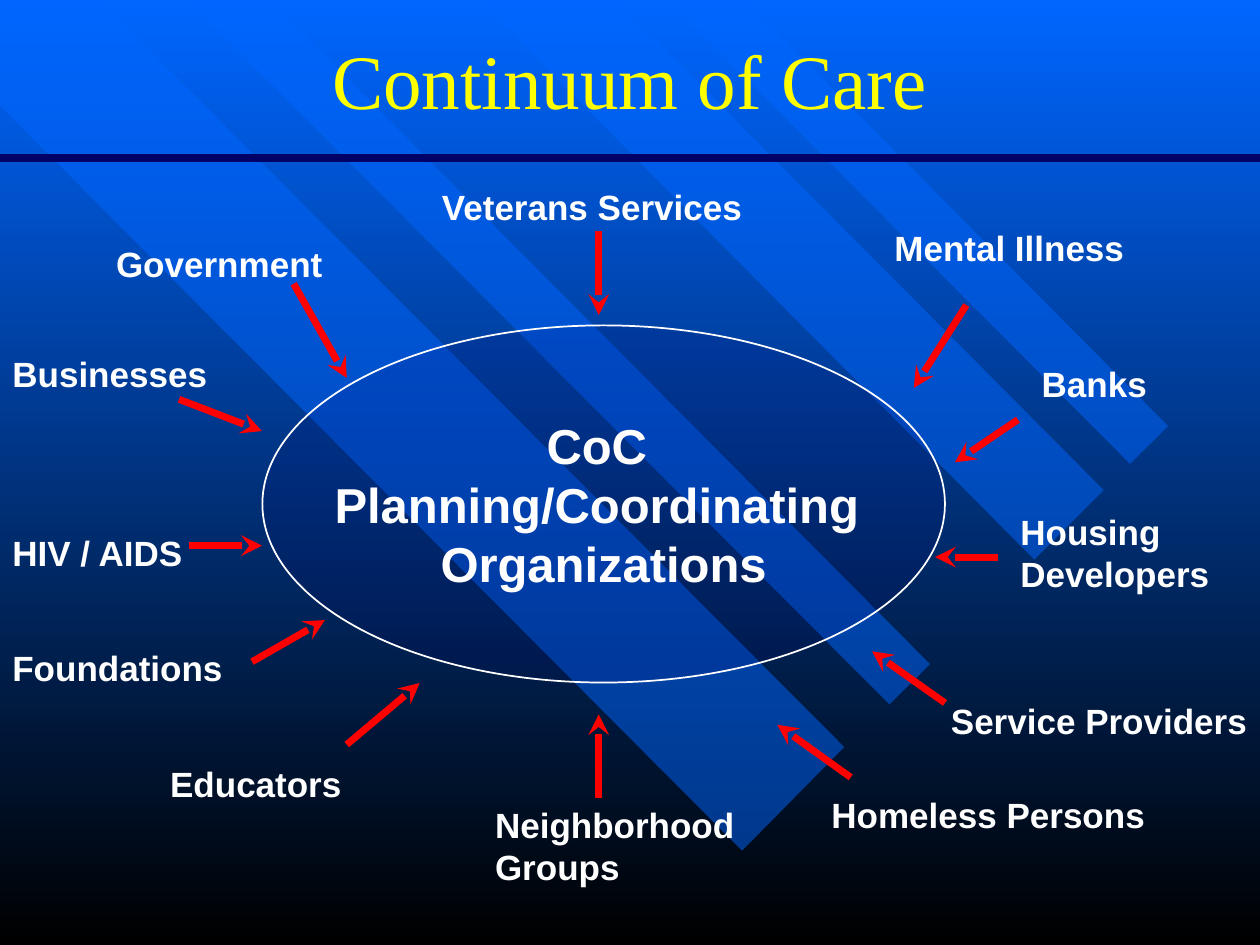
from typing import NamedTuple

from lxml.etree import SubElement
from pptx import Presentation
from pptx.dml.color import RGBColor
from pptx.enum.shapes import MSO_CONNECTOR as Connector, MSO_SHAPE as Shape
from pptx.enum.text import MSO_ANCHOR as Anchor, PP_ALIGN as Align
from pptx.oxml.ns import qn
from pptx.util import Cm, Pt

COLORS = {
    "blue": "0066FF",
    "navy": "000066",
    "black": "000000",
    "white": "FFFFFF",
    "yellow": "FFFF00",
    "red": "FF0000",
}


class Label(NamedTuple):
    text: str
    left: float
    top: float
    width: float
    height: float = 1.09
    wrap: bool = False
    anchor: Anchor = Anchor.TOP
    inset: float = 0.25


class Line(NamedTuple):
    x1: float
    y1: float
    x2: float
    y2: float


BANDS = [
    [(17.02, 15.06), (2.01, 0), (0, 0), (0, 2.13), (14.96, 17.15)],
    [(5.44, 0), (18.75, 13.39), (17.93, 14.2), (3.78, 0)],
    [(12.42, 0), (22.25, 9.88), (20.85, 11.28), (9.65, 0)],
    [(13.46, 0), (22.78, 9.35), (23.55, 8.59), (15.01, 0)],
]

LABELS = [
    Label("Veterans Services", 8.66, 3.61, 6.6),
    Label("Businesses", 0, 6.98, 4.45),
    Label("Mental Illness", 17.78, 4.45, 5.16),
    Label("HIV / AIDS", 0, 10.59, 3.96),
    Label("Neighborhood Groups", 9.73, 16.08, 5.77, 1.96, wrap=True),
    Label("Banks", 20.75, 7.19, 2.64),
    Label("Foundations", 0, 12.9, 4.75),
    Label("Service Providers", 18.92, 13.97, 6.48),
    Label("Housing\nDevelopers", 20.32, 10.16, 4.32, 1.96),
    Label("Homeless Persons", 16.51, 15.88, 6.83),
    Label("Educators", 3.18, 15.24, 3.96),
    Label("Government", 1.9, 4.24, 5.51, 1.63, True, Anchor.BOTTOM, 0.44),
]

ARROWS = [
    Line(12.07, 4.65, 12.07, 6.35),
    Line(5.92, 5.72, 6.99, 7.62),
    Line(19.05, 14.17, 17.58, 13.13),
    Line(6.99, 15.01, 8.46, 13.77),
    Line(3.61, 8.05, 5.28, 8.69),
    Line(20.12, 11.23, 18.85, 11.23),
    Line(20.52, 8.46, 19.25, 9.32),
    Line(19.48, 6.15, 18.42, 7.82),
    Line(5.08, 13.34, 6.55, 12.5),
    Line(17.15, 15.67, 15.67, 14.61),
    Line(12.07, 16.08, 12.07, 14.4),
    Line(3.81, 11, 5.28, 11),
]


def rgb(name: str) -> RGBColor:
    return RGBColor.from_string(COLORS[name])


def fill_shape(sp, color: str, opacity: int) -> None:
    sp.shadow.inherit = False
    sp.fill.solid()
    sp.fill.fore_color.rgb = rgb(color)
    clr = sp._element.spPr.find(qn("a:solidFill"))[0]
    SubElement(clr, qn("a:alpha"), val=str(opacity * 1000))


def write(sp, text: str, *, size: int = 20, font: str = "Arial",
          color: str = "white", bold: bool = True, align: Align = Align.LEFT,
          anchor: Anchor = Anchor.TOP, wrap: bool = False,
          inset: float = 0.25) -> None:
    tf = sp.text_frame
    tf.word_wrap = wrap
    tf.vertical_anchor = anchor
    tf.margin_left = Cm(inset)
    tf.text = text
    for p in tf.paragraphs:
        p.alignment = align
        for r in p.runs:
            r.font.size = Pt(size)
            r.font.name = font
            r.font.bold = bold
            r.font.color.rgb = rgb(color)


def add_band(s, points: list) -> None:
    corners = [(Cm(x), Cm(y)) for x, y in points]
    builder = s.shapes.build_freeform(*corners[0])
    builder.add_line_segments(corners[1:], close=True)
    sp = builder.convert_to_shape()
    fill_shape(sp, "blue", 50)
    sp.line.fill.background()


def add_label(s, label: Label) -> None:
    sp = s.shapes.add_textbox(Cm(label.left), Cm(label.top),
                              Cm(label.width), Cm(label.height))
    write(sp, label.text, wrap=label.wrap, anchor=label.anchor,
          inset=label.inset)


def add_line(s, line: Line, color: str, width: float,
             arrow: bool = False) -> None:
    sp = s.shapes.add_connector(Connector.STRAIGHT, *map(Cm, line))
    sp.line.color.rgb = rgb(color)
    sp.line.width = Pt(width)
    if arrow:
        SubElement(sp.line._get_or_add_ln(), qn("a:tailEnd"), type="stealth")
    SubElement(sp._element.spPr, qn("a:effectLst"))


def main() -> None:
    prs = Presentation()
    prs.slide_width, prs.slide_height = Cm(25.4), Cm(19.05)
    s = prs.slides.add_slide(prs.slide_layouts[6])

    bg = s.background.fill
    bg.gradient()
    bg.gradient_angle = 270
    for stop, position, color in zip(bg.gradient_stops, (0, 1),
                                     ("blue", "black")):
        stop.position = position
        stop.color.rgb = rgb(color)

    for band in BANDS:
        add_band(s, band)

    title = s.shapes.add_textbox(Cm(1.9), Cm(0), Cm(21.59), Cm(3.18))
    write(title, "Continuum of Care", size=44, font="Times New Roman",
          color="yellow", bold=False, align=Align.CENTER,
          anchor=Anchor.MIDDLE, wrap=True)

    hub = s.shapes.add_shape(Shape.OVAL, Cm(5.29), Cm(6.56),
                             Cm(13.76), Cm(7.2))
    fill_shape(hub, "navy", 13)
    hub.line.color.rgb = rgb("white")
    hub.line.width = Pt(1)
    write(hub, "CoC \nPlanning/Coordinating \vOrganizations", size=28,
          align=Align.CENTER, anchor=Anchor.MIDDLE)

    for label in LABELS:
        add_label(s, label)
    for arrow in ARROWS:
        add_line(s, arrow, "red", 4, arrow=True)
    add_line(s, Line(0, 3.18, 25.4, 3.18), "navy", 4.5)

    prs.save("out.pptx")


if __name__ == "__main__":
    main()
